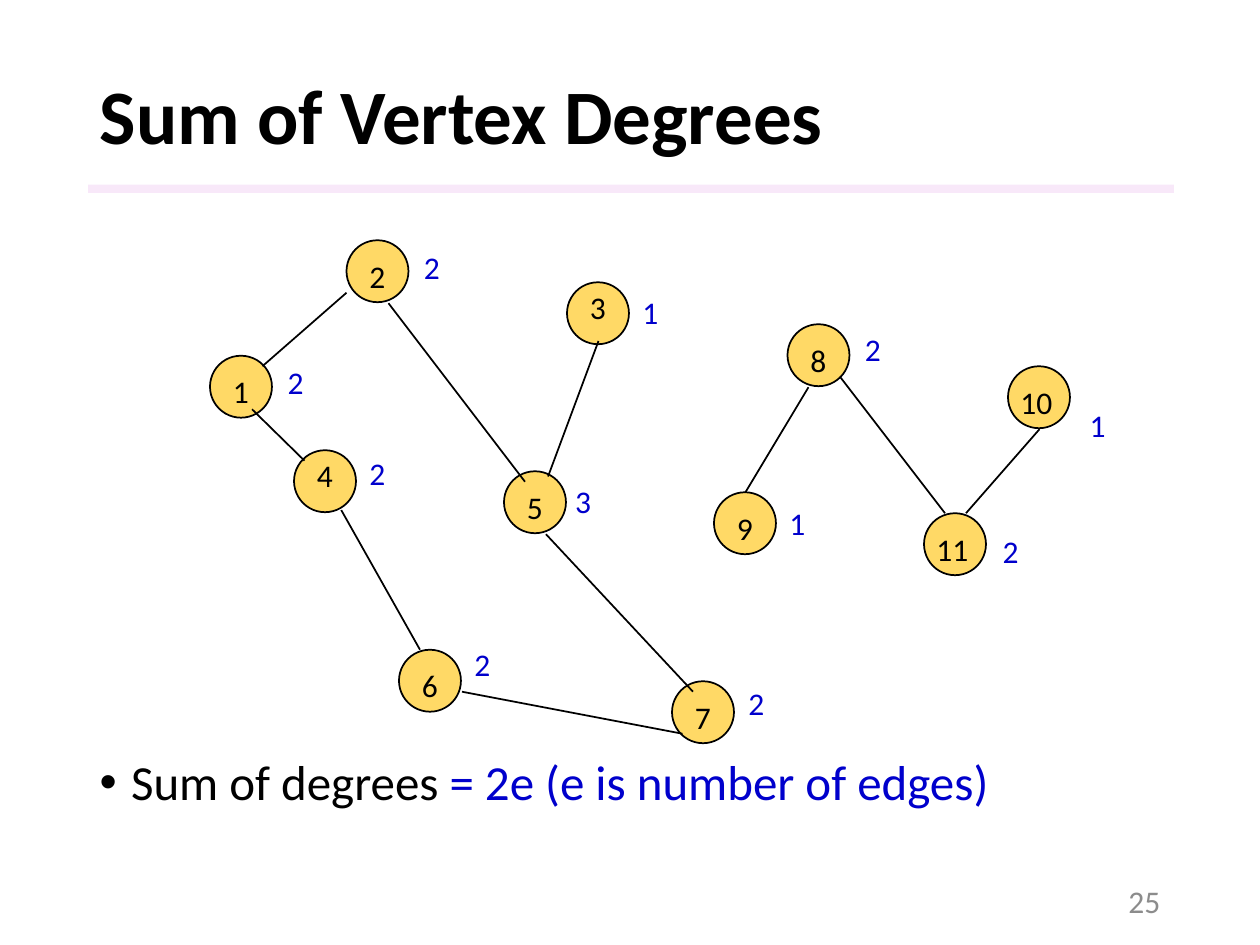
from lxml import etree
from pptx import Presentation
from pptx.dml.color import RGBColor
from pptx.enum.shapes import MSO_CONNECTOR, MSO_SHAPE
from pptx.enum.text import MSO_ANCHOR, MSO_AUTO_SIZE, PP_ALIGN
from pptx.oxml.ns import qn
from pptx.util import Inches, Pt

OVAL, RECT, LINE = MSO_SHAPE.OVAL, MSO_SHAPE.RECTANGLE, MSO_CONNECTOR.STRAIGHT
TOP, MIDDLE = MSO_ANCHOR.TOP, MSO_ANCHOR.MIDDLE
LEFT, RIGHT = PP_ALIGN.LEFT, PP_ALIGN.RIGHT
FIXED = MSO_AUTO_SIZE.NONE

BLACK, BLUE, GOLD, PINK, GRAY = "000000", "0000CC", "FFD966", "F3D2F4", "8C8C8C"
SIZE = 5.9  # node diameter in grid cells

# Vertex: node column and row, label shift and width, degree, degree column and row
NODES = {
    1: (20, 34, 1, 1, 3, 2, 26.2, 34.1),
    2: (33, 23, 1, 1, 3, 2, 39.2, 23.2),
    3: (54, 27, 1, 0, 3, 1, 60, 27.4),
    4: (28, 43, 1, 0, 3, 2, 34, 42.8),
    5: (48, 45, 1, 1, 3, 3, 53.6, 45.4),
    6: (38, 62, 1, 1, 3, 2, 44, 61),
    7: (64, 65, 1, 1, 3, 2, 70.1, 64.7),
    8: (75, 31, 1, 1, 3, 2, 81.2, 31),
    9: (68, 47, 1, 1, 3, 1, 74, 47.5),
    10: (96, 35, 0, 1, 6, 1, 102.6, 38.2),
    11: (88, 49, 0, 1, 10, 2, 94.3, 50.2),
}

# Edges: start column and row, end column and row
EDGES = [
    (33, 28, 25, 35), (37, 29, 50, 46), (24, 39.1, 29, 44),
    (32.5, 48.7, 40, 62), (44, 66, 65, 70), (57, 32.6, 52.2, 45.5),
    (52, 51, 66, 66), (77, 37, 71, 47), (80, 36, 90, 49), (92, 49, 99, 41),
]


def color(code):
    return RGBColor.from_string(code)


class Deck:
    """Style and current slide; lengths are cells of a 120 by 90 grid."""

    font = "Calibri"
    cell = 1 / 12
    lift = 0.01

    def __init__(self):
        self.file = Presentation()
        self.file.slide_width, self.file.slide_height = Inches(10), Inches(7.5)
        self.slide = self.file.slides.add_slide(self.file.slide_layouts[5])
        self.shapes = self.slide.shapes

    def col(self, count):
        return Inches(count * self.cell)

    def row(self, count):
        return Inches(count * self.cell - self.lift)

    def area(self, x, y, wide, high):
        return self.col(x), self.row(y), self.col(wide), self.col(high)

    def letter(self, frame, runs, size, bold=False, align=LEFT, anchor=TOP,
               wrap=True, mark=None):
        """Give a frame one paragraph of (text, colour) runs."""
        frame.word_wrap, frame.auto_size = wrap, FIXED
        frame.vertical_anchor = anchor
        para = frame.paragraphs[0]
        para.alignment = align
        if mark:
            props = para._p.get_or_add_pPr()
            props.set("marL", str(Inches(0.25)))
            props.set("indent", str(-Inches(0.25)))
            etree.SubElement(props, qn("a:buFont"), typeface="Arial")
            etree.SubElement(props, qn("a:buChar"), char=mark)
        for text, code in runs:
            run = para.add_run()
            run.text = text
            run.font.color.rgb = color(code)
        para.font.name, para.font.size, para.font.bold = self.font, Pt(size), bold
        return para

    def title(self, text, *area):
        shape = self.shapes.title
        shape.left, shape.top, shape.width, shape.height = self.area(*area)
        para = self.letter(shape.text_frame, [(text, BLACK)], 44, True, anchor=MIDDLE)
        para.line_spacing = 0.9

    def text(self, runs, *area, size=18, **style):
        box = self.shapes.add_textbox(*self.area(*area))
        return self.letter(box.text_frame, runs, size, **style)

    def bullet(self, runs, *area):
        para = self.text(runs, *area, size=28, mark="•")
        para.line_spacing = 0.9

    def shape(self, kind, fill, *area, line=None, alpha=None):
        item = self.shapes.add_shape(kind, *self.area(*area))
        item.shadow.inherit = False
        item.fill.solid()
        item.fill.fore_color.rgb = color(fill)
        if alpha:
            tone = item._element.spPr.find(qn("a:solidFill"))[0]
            etree.SubElement(tone, qn("a:alpha"), val=str(alpha * 1000))
        if line:
            item.line.color.rgb = color(line)
            item.line.width = Pt(1)
        else:
            item.line.fill.background()

    def edge(self, x1, y1, x2, y2):
        item = self.shapes.add_connector(
            LINE, self.col(x1), self.row(y1), self.col(x2), self.row(y2))
        item.line.color.rgb = color(BLACK)
        item.line.width = Pt(1)
        etree.SubElement(item._element.spPr, qn("a:effectLst"))


def main():
    deck = Deck()

    # Heading, rule and page number
    deck.shape(RECT, PINK, 8.4, 17.7, 103.4, 0.8, alpha=50)
    deck.title("Sum of Vertex Degrees", 8.3, 4.9, 103.4, 13.3)
    deck.bullet([("Sum of degrees ", BLACK), ("= 2e (e is number of edges)", BLUE)],
                8.3, 71.7, 103.4, 15.1)
    deck.text([("25", GRAY)], 84.7, 83.5, 27, 4.8, align=RIGHT, anchor=MIDDLE)

    # Graph: nodes, edges, then labels on top
    for x, y, *_ in NODES.values():
        deck.shape(OVAL, GOLD, x, y, SIZE, SIZE, line=BLACK)
    for ends in EDGES:
        deck.edge(*ends)
    for name, (x, y, dx, dy, wide, *_) in NODES.items():
        deck.text([(str(name), BLACK)], x + dx, y + dy, wide, 5.2)

    # Vertex degrees
    for *_, degree, x, y in NODES.values():
        deck.text([(str(degree), BLUE)], x, y, 4, 4.8, wrap=False)

    deck.file.save("out.pptx")


if __name__ == "__main__":
    main()
